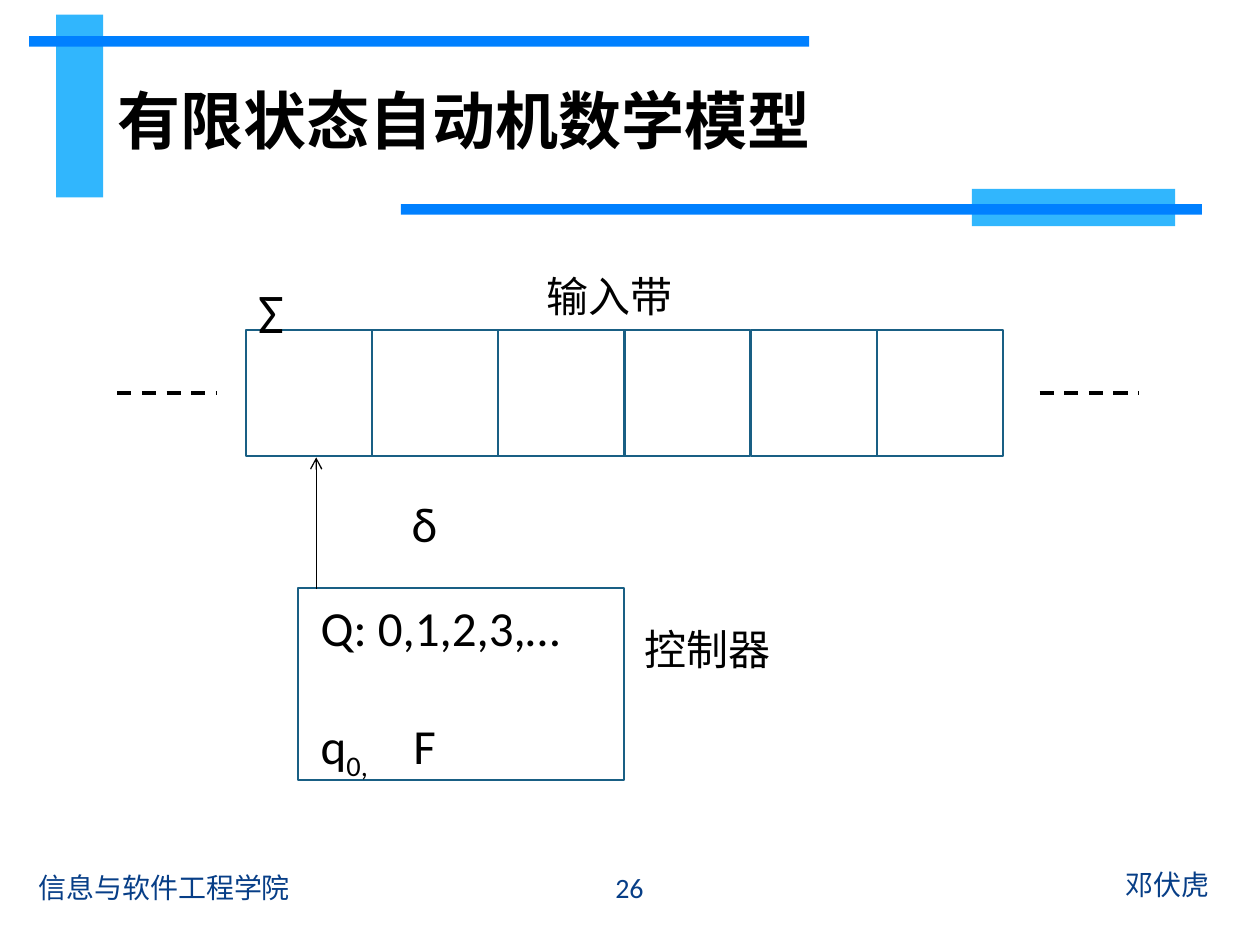
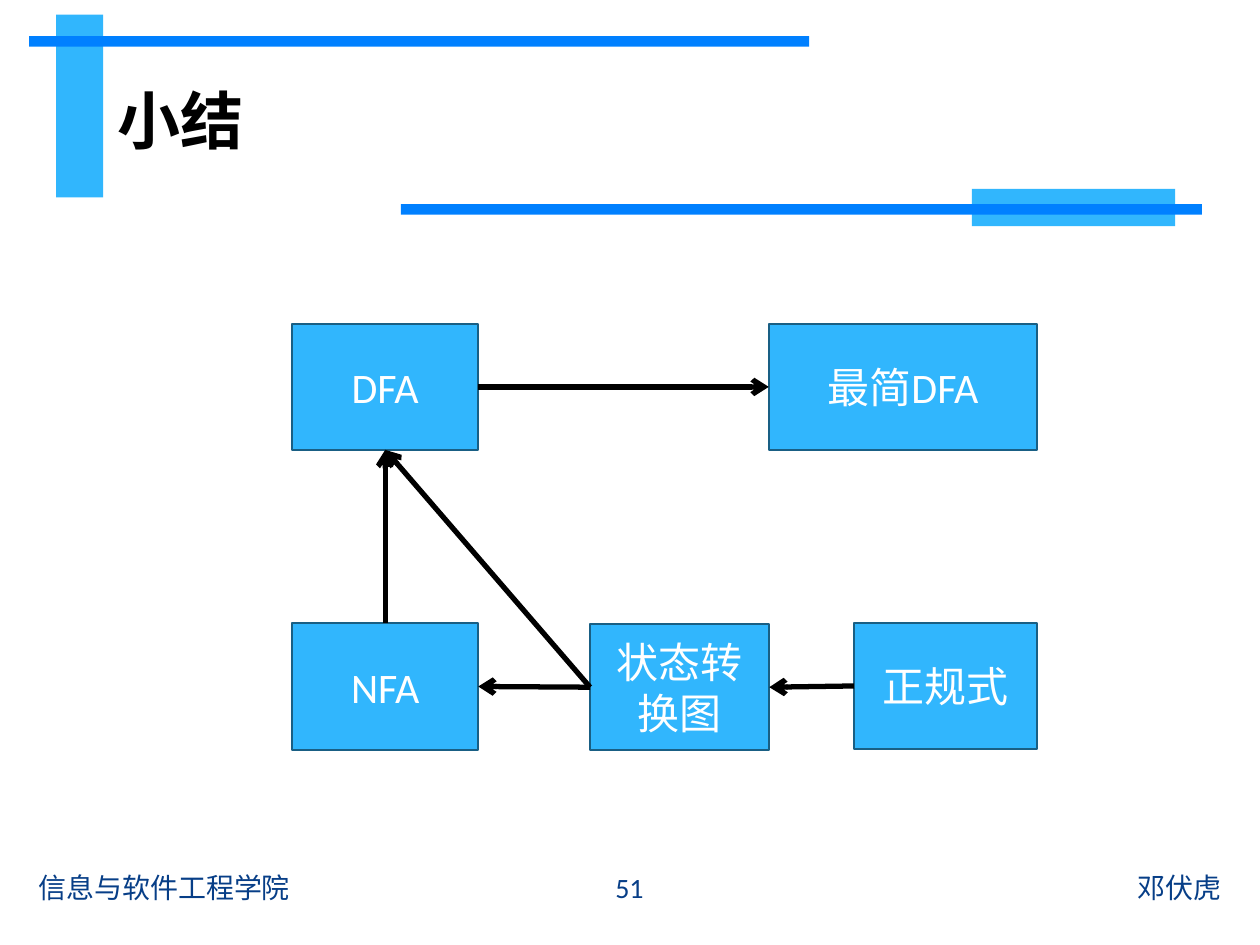
from dataclasses import dataclass

from lxml import etree
from pptx import Presentation
from pptx.dml.color import RGBColor
from pptx.enum.dml import MSO_LINE
from pptx.enum.shapes import MSO_CONNECTOR, MSO_SHAPE
from pptx.enum.text import MSO_ANCHOR, MSO_AUTO_SIZE, PP_ALIGN
from pptx.oxml.ns import qn
from pptx.util import Pt

RECTANGLE, STRAIGHT, DASH = MSO_SHAPE.RECTANGLE, MSO_CONNECTOR.STRAIGHT, MSO_LINE.DASH
LEFT, CENTER, RIGHT = PP_ALIGN.LEFT, PP_ALIGN.CENTER, PP_ALIGN.RIGHT
TOP, MIDDLE = MSO_ANCHOR.TOP, MSO_ANCHOR.MIDDLE
NO_FIT, GROW = MSO_AUTO_SIZE.NONE, MSO_AUTO_SIZE.SHAPE_TO_FIT_TEXT
SITE_TOP, SITE_LEFT, SITE_BOTTOM, SITE_RIGHT = range(4)


@dataclass(frozen=True)
class Theme:
    sky: RGBColor = RGBColor.from_string("31B6FD")
    blue: RGBColor = RGBColor.from_string("0080FF")
    navy: RGBColor = RGBColor.from_string("073E87")
    outline: RGBColor = RGBColor.from_string("195F84")
    black: RGBColor = RGBColor.from_string("000000")
    white: RGBColor = RGBColor.from_string("FFFFFF")
    title_font: str = "Arial"
    body_font: str = "Calibri"
    title_size: int = 36
    symbol_size: int = 32
    state_size: int = 28
    label_size: int = 24
    footer_size: int = 16
    outline_width: float = 1.25


THEME = Theme()

# Shared content; boxes are left, top, width, height in points
TITLE_BOX = (59.8, 31.7, 555.8, 73.4)
BANDS = [
    ((32, 8.3, 27, 104.5), THEME.sky),
    ((16.6, 20.6, 445.8, 6.1), THEME.blue),
    ((555.4, 108, 116.2, 21.2), THEME.sky),
    ((229.1, 116.7, 457.8, 6), THEME.blue),
]
SCHOOL, SCHOOL_BOX = "信息与软件工程学院", (15.1, 492.5, 298, 28.8)
AUTHOR, AUTHOR_SIZE = "邓伏虎", (298, 28.8)
NUMBER_BOX = (314, 492.5, 91.4, 28.8)

# Automaton model content
MODEL = {"title": "有限状态自动机数学模型", "number": "26", "author_at": (400.3, 491)}
TAPE_CELLS, TAPE_LEFT, TAPE_TOP, CELL_SIZE, CELL_PITCH = 6, 140.4, 188.6, 72, 72.15
CONTROLLER_BOX = (170.3, 336, 186.4, 109.6)
STATE_BOX = (176.2, 337.7, 170.6, 108.7)
STATES, START_STATE, START_INDEX, FINAL_STATES = "Q: 0,1,2,3,…", "q", "0,", "F"
FINAL_TAB, STATE_GAP = 53, 34
MODEL_LABELS = [
    ("Σ", (140.4, 154.8, 31.7, 46.1), THEME.symbol_size),
    ("输入带", (305.3, 151.2, 87.1, 36), THEME.label_size),
    ("控制器", (361.4, 352.8, 87.1, 36), THEME.label_size),
    ("δ", (228.2, 278.6, 30.2, 41), THEME.state_size),
]
TAPE_DASHES = [(67, 123.8), (594, 650.9)]
HEAD_X, HEAD_FROM, HEAD_TO = 180.7, 336.6, 261.4

# Summary content
SUMMARY = {"title": "小结", "number": "51", "author_at": (406.8, 492.5)}
STAGES = {
    "DFA": (167, 185.1, 106.3, 72),
    "状态转换图": (337.2, 356.7, 102.4, 72),
    "正规式": (488, 356, 104.6, 72),
    "最简DFA": (439.3, 185.1, 153.4, 72),
    "NFA": (167, 356, 106.3, 72.6),
}
STEPS = [
    ("正规式", SITE_LEFT, "状态转换图", SITE_RIGHT),
    ("状态转换图", SITE_LEFT, "NFA", SITE_RIGHT),
    ("NFA", SITE_TOP, "DFA", SITE_BOTTOM),
    ("DFA", SITE_RIGHT, "最简DFA", SITE_LEFT),
    ("状态转换图", SITE_LEFT, "DFA", SITE_BOTTOM),
]


# Drawing helpers
def points(values):
    return [Pt(value) for value in values]


def style_font(font, size, color, name=THEME.body_font, bold=False):
    font.size, font.name, font.bold = Pt(size), name, bold
    font.color.rgb = color


def write(frame, text, size, color, align=LEFT, anchor=TOP, **font_options):
    frame.text = text
    frame.vertical_anchor = anchor
    paragraph = frame.paragraphs[0]
    paragraph.alignment = align
    style_font(paragraph.runs[0].font, size, color, **font_options)


def add_label(page, text, box, size, color=THEME.black, align=LEFT, anchor=TOP,
              wrap=True, fit=NO_FIT):
    frame = page.shapes.add_textbox(*points(box)).text_frame
    frame.word_wrap, frame.auto_size = wrap, fit
    write(frame, text, size, color, align, anchor)
    return frame


def add_box(page, box, fill=None, outline=None):
    shape = page.shapes.add_shape(RECTANGLE, *points(box))
    shape.shadow.inherit = False
    if fill is None:
        shape.fill.background()
    else:
        shape.fill.solid()
        shape.fill.fore_color.rgb = fill
    if outline is None:
        shape.line.fill.background()
    else:
        shape.line.color.rgb = outline
        shape.line.width = Pt(THEME.outline_width)
    return shape


def add_line(page, width, ends=(0, 0, 0, 0), dashed=False, arrow=False):
    line = page.shapes.add_connector(STRAIGHT, *points(ends))
    line.line.color.rgb = THEME.black
    line.line.width = Pt(width)
    if dashed:
        line.line.dash_style = DASH
    properties = line._element.spPr
    if arrow:
        etree.SubElement(properties.find(qn("a:ln")), qn("a:tailEnd"), type="arrow")
    etree.SubElement(properties, qn("a:effectLst"))
    return line


def add_page(deck, content):
    page = deck.slides.add_slide(deck.slide_layouts[5])
    for box, color in BANDS:
        add_box(page, box, color)
    title = page.shapes.title
    title.left, title.top, title.width, title.height = points(TITLE_BOX)
    title.text_frame.auto_size = NO_FIT
    write(title.text_frame, content["title"], THEME.title_size, THEME.black,
          anchor=MIDDLE, name=THEME.title_font, bold=True)
    footers = [
        (AUTHOR, content["author_at"] + AUTHOR_SIZE, RIGHT),
        (SCHOOL, SCHOOL_BOX, LEFT),
        (content["number"], NUMBER_BOX, CENTER),
    ]
    for text, box, align in footers:
        add_label(page, text, box, THEME.footer_size, THEME.navy, align, MIDDLE)
    return page


# Automaton model
def add_states(page):
    frame = add_label(page, STATES, STATE_BOX, THEME.state_size)
    paragraph = frame.add_paragraph()
    paragraph.space_before = Pt(STATE_GAP)
    tabs = etree.SubElement(paragraph._p.get_or_add_pPr(), qn("a:tabLst"))
    etree.SubElement(tabs, qn("a:tab"), pos=str(Pt(FINAL_TAB)), algn="l")
    for text in (START_STATE, START_INDEX, "\t" + FINAL_STATES):
        span = paragraph.add_run()
        span.text = text
        style_font(span.font, THEME.state_size, THEME.black)
        if text == START_INDEX:
            span._r.get_or_add_rPr().set("baseline", "-25000")


def build_model(deck):
    page = add_page(deck, MODEL)
    for index in range(TAPE_CELLS):
        left = TAPE_LEFT + index * CELL_PITCH
        add_box(page, (left, TAPE_TOP, CELL_SIZE, CELL_SIZE), outline=THEME.outline)
    add_box(page, CONTROLLER_BOX, outline=THEME.outline)
    add_line(page, 0.75, (HEAD_X, HEAD_FROM, HEAD_X, HEAD_TO), arrow=True)
    middle = TAPE_TOP + CELL_SIZE / 2
    for start, end in TAPE_DASHES:
        add_line(page, 2, (start, middle, end, middle), dashed=True)
    for text, box, size in MODEL_LABELS:
        add_label(page, text, box, size, wrap=False, fit=GROW)
    add_states(page)


# Summary of conversions
def build_summary(deck):
    page = add_page(deck, SUMMARY)
    stages = {}
    for name, box in STAGES.items():
        stages[name] = add_box(page, box, THEME.sky, THEME.outline)
        write(stages[name].text_frame, name, THEME.label_size, THEME.white, CENTER, MIDDLE)
    for source, source_site, target, target_site in STEPS:
        arrow = add_line(page, 3, arrow=True)
        arrow.begin_connect(stages[source], source_site)
        arrow.end_connect(stages[target], target_site)


def main():
    deck = Presentation()
    deck.slide_width, deck.slide_height = Pt(720), Pt(540)
    build_model(deck)
    build_summary(deck)
    deck.save("out.pptx")


if __name__ == "__main__":
    main()
